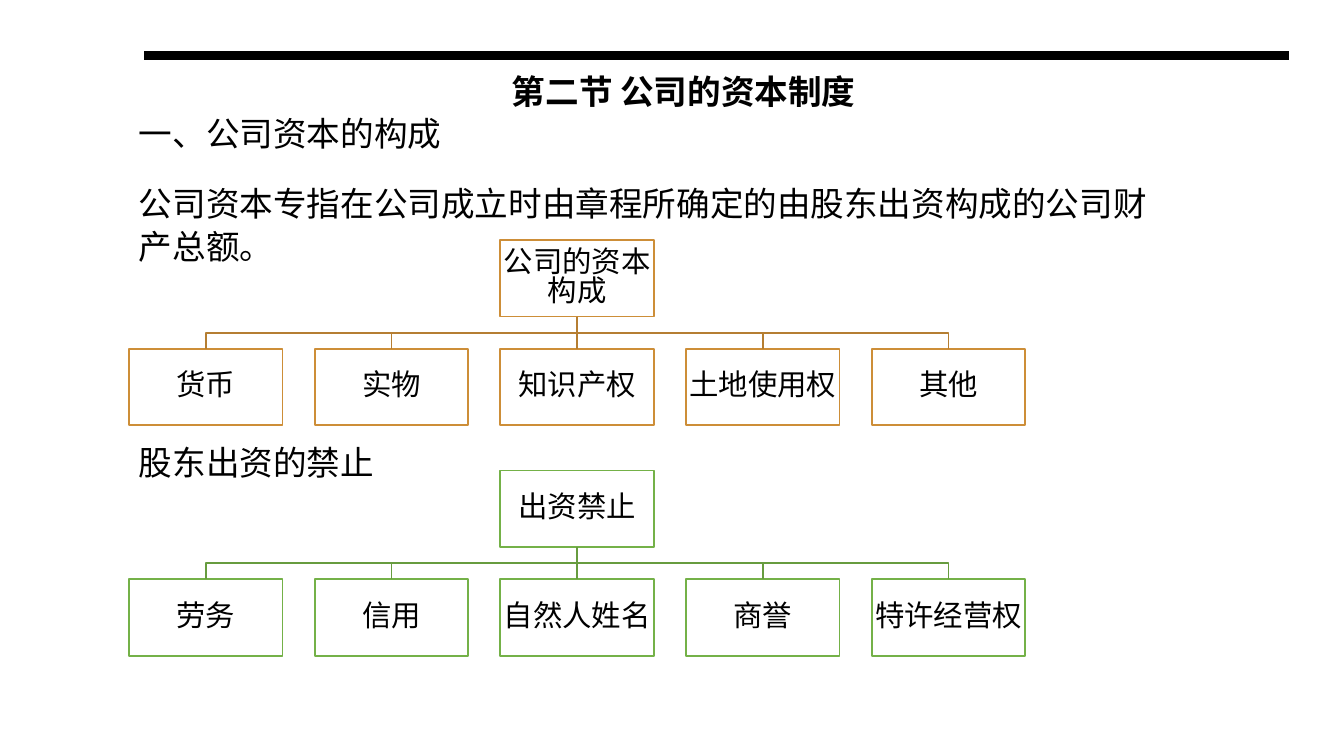
from lxml import etree
from pptx import Presentation
from pptx.dml.color import RGBColor
from pptx.enum.shapes import MSO_CONNECTOR, MSO_SHAPE
from pptx.enum.text import MSO_ANCHOR, PP_ALIGN
from pptx.oxml.ns import qn
from pptx.util import Cm, Pt

RECT = MSO_SHAPE.RECTANGLE
LINE = MSO_CONNECTOR.STRAIGHT
MIDDLE = MSO_ANCHOR.MIDDLE
TOP = MSO_ANCHOR.TOP
CENTER = PP_ALIGN.CENTER
LEFT = PP_ALIGN.LEFT
FONT = "Noto Sans CJK SC"
BLACK = RGBColor(0x00, 0x00, 0x00)
WHITE = RGBColor(0xFF, 0xFF, 0xFF)
GOLD = RGBColor(0xCD, 0x8E, 0x38)
BROWN = RGBColor(0xB5, 0x7E, 0x32)
GREEN = RGBColor(0x74, 0xB1, 0x48)
MOSS = RGBColor(0x67, 0x9C, 0x3F)


def write(shape, texts, size, align, anchor, inset, space, bold=False):
    frame = shape.text_frame
    frame.word_wrap = True
    frame.vertical_anchor = anchor
    frame.margin_left = frame.margin_right = Cm(inset)
    frame.margin_top = frame.margin_bottom = Cm(0)
    for i, (text, before) in enumerate(texts):
        para = frame.add_paragraph() if i else frame.paragraphs[0]
        para.alignment = align
        para.line_spacing = space
        para.space_before = Pt(before)
        run = para.add_run()
        run.text = text
        run.font.size = Pt(size)
        run.font.bold = bold
        run.font.name = FONT
        run.font.color.rgb = BLACK
        etree.SubElement(run.font._element, qn("a:ea"), typeface=FONT)


def stroke(link, color, width):
    link.line.color.rgb = color
    link.line.width = Pt(width)
    etree.SubElement(link._element.spPr, qn("a:effectLst"))


prs = Presentation()
prs.slide_width = Cm(33.87)
prs.slide_height = Cm(19.05)
slide = prs.slides.add_slide(prs.slide_layouts[6])
shapes = slide.shapes

title = shapes.add_textbox(Cm(0.6), Cm(1.22), Cm(33.26), Cm(2.13))
write(title, [("第二节 公司的资本制度", 0)], 24, CENTER, MIDDLE, 0.25, 1.0, True)

body = shapes.add_textbox(Cm(3.25), Cm(2.8), Cm(25.96), Cm(10.8))
notes = [
    ("一、公司资本的构成", 0),
    ("公司资本专指在公司成立时由章程所确定的由股东出资构成的公司财产总额。", 20),
    ("股东出资的禁止", 124),
]
write(body, notes, 24, LEFT, TOP, 0.25, 1.05)

WIDE, HIGH, STEP, DROP, EDGE = 3.87, 1.93, 4.68, 2.74, 3.25
charts = [
    (6.05, "公司的资本构成", ["货币", "实物", "知识产权", "土地使用权", "其他"], GOLD, BROWN),
    (11.86, "出资禁止", ["劳务", "信用", "自然人姓名", "商誉", "特许经营权"], GREEN, MOSS),
]
for top, head, kids, edge, link in charts:
    spots = [(head, 2, top)] + [(kid, i, top + DROP) for i, kid in enumerate(kids)]
    boxes = []
    for text, col, y in spots:
        box = shapes.add_shape(RECT, Cm(EDGE + col * STEP), Cm(y), Cm(WIDE), Cm(HIGH))
        box.shadow.inherit = False
        box.fill.solid()
        box.fill.fore_color.rgb = WHITE
        box.line.color.rgb = edge
        box.line.width = Pt(1.25)
        write(box, [(text, 0)], 21, CENTER, MIDDLE, 0.03, 0.82)
        boxes.append(box)

    root = boxes[0]
    start = root.left + root.width // 2
    base = root.top + root.height
    for box in boxes[1:]:
        end = box.left + box.width // 2
        if box.left == root.left:
            stem = shapes.add_connector(LINE, start, base, end, box.top)
            stem.begin_connect(root, 2)
            stem.end_connect(box, 0)
            stroke(stem, link, 1.25)
            continue
        half = (base + box.top) // 2
        path = shapes.build_freeform(start, base)
        path.add_line_segments([(start, half), (end, half), (end, box.top)], close=False)
        bend = path.convert_to_shape()
        bend.fill.background()
        stroke(bend, link, 1.25)

rule = shapes.add_connector(LINE, Cm(3.63), Cm(1.4), Cm(32.49), Cm(1.4))
stroke(rule, BLACK, 7)

prs.save("out.pptx")
